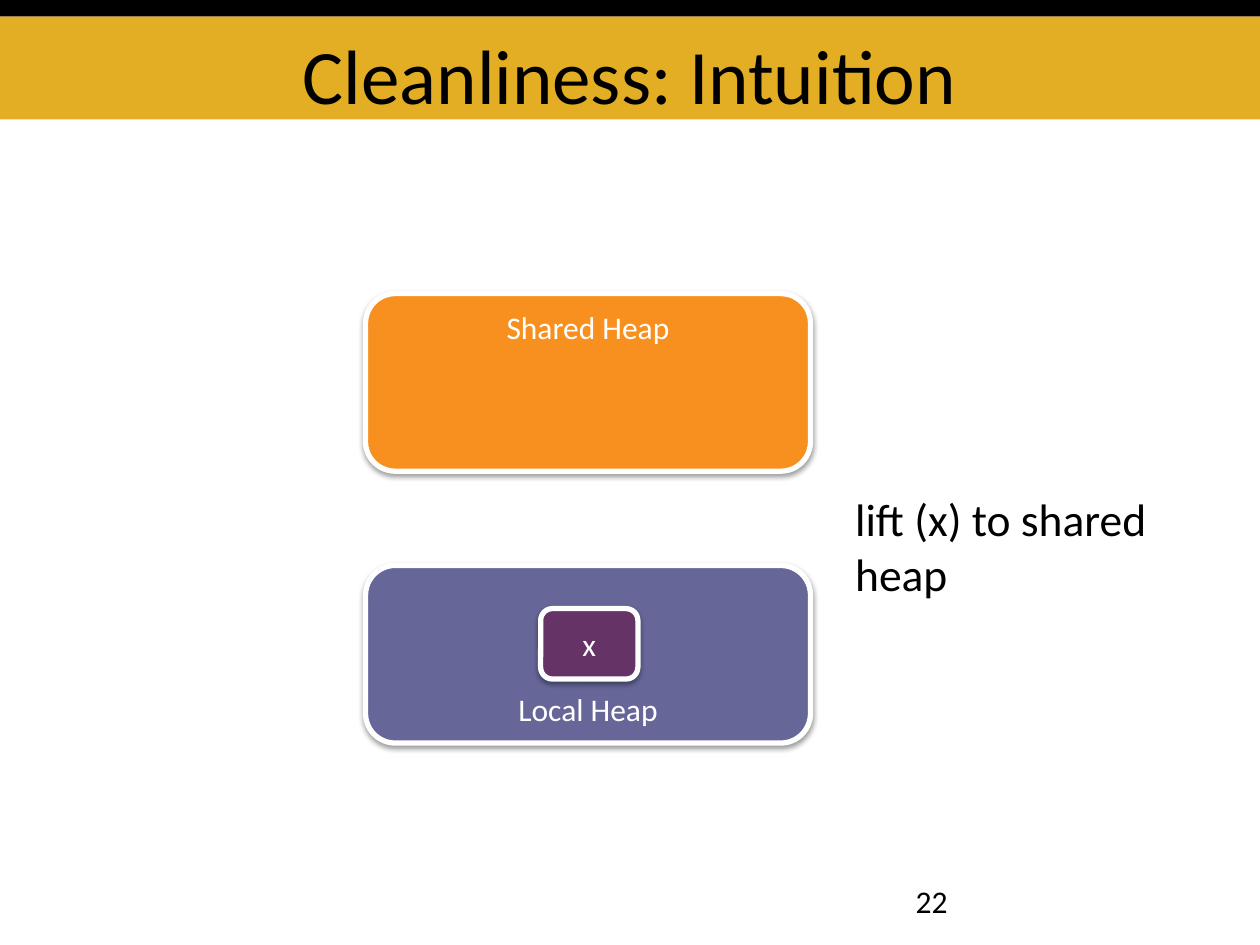
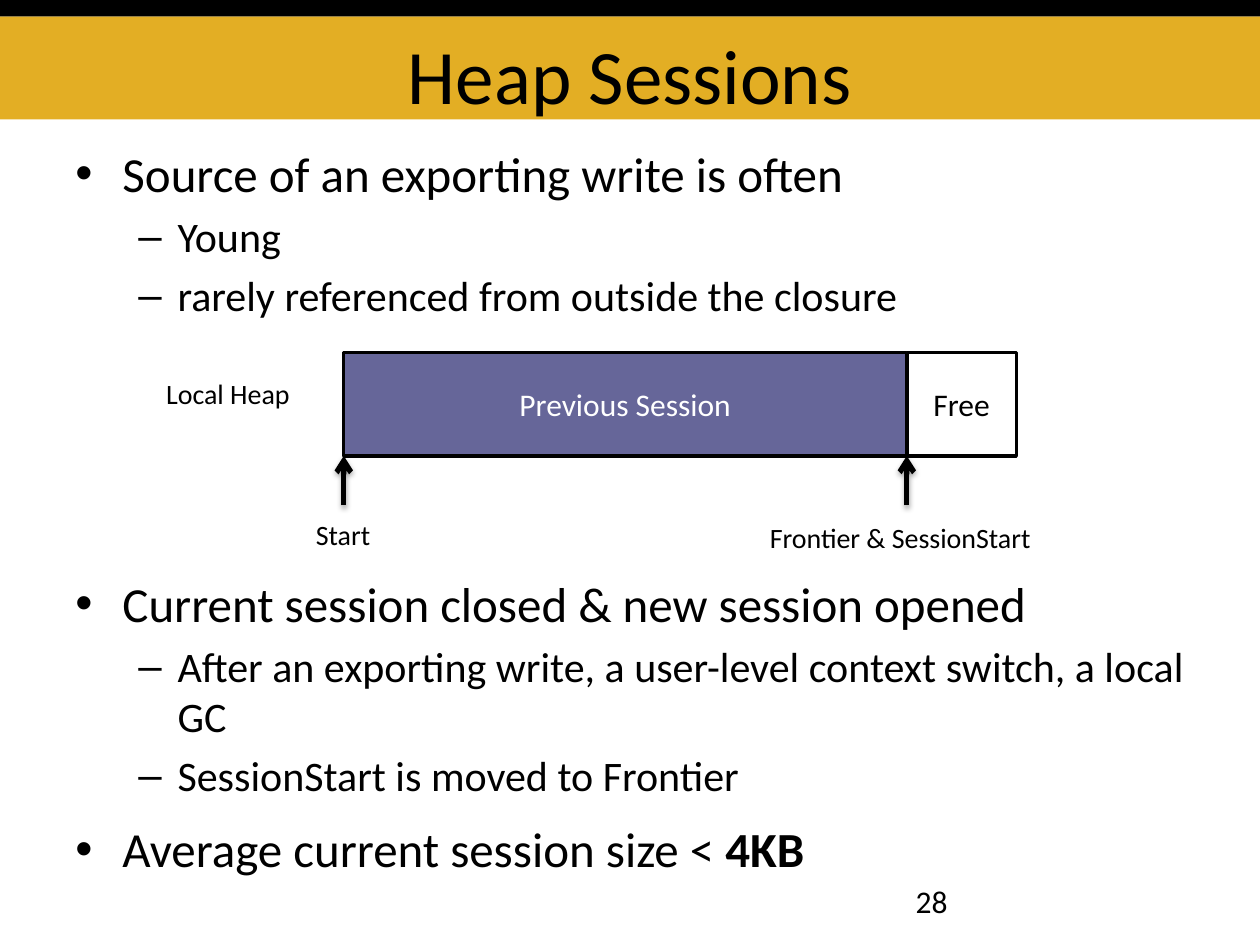
from dataclasses import dataclass
from typing import Any, NamedTuple

from lxml.etree import SubElement
from pptx import Presentation
from pptx.dml.color import RGBColor as Rgb
from pptx.enum.shapes import MSO_CONNECTOR as Link, MSO_SHAPE as Kind
from pptx.enum.text import MSO_ANCHOR as Anchor, PP_ALIGN as Align
from pptx.oxml.ns import qn
from pptx.util import Cm, Pt

HUES = {
    "black": "000000",
    "white": "FFFFFF",
    "gold": "E3AE24",
    "orange": "F7901E",
    "slate": "666699",
    "plum": "663366",
}
FONT = "Calibri"
WIDE, HIGH = 25.4, 19.05
STRIP, BAND = 0.33, 2.08
LEFT, SPAN = 1.27, 22.86


class Area(NamedTuple):
    x: float
    y: float
    w: float
    h: float

    def lengths(self) -> list[Cm]:
        return [Cm(v) for v in self]


class Level(NamedTuple):
    mark: str
    size: int
    left: float
    hang: float


class Item(NamedTuple):
    level: int
    text: str
    bold: str = ""


@dataclass
class Block:
    area: Area
    text: str
    fill: str
    line: str = "white"
    weight: float = 3
    ink: str = "white"
    kind: Any = Kind.ROUNDED_RECTANGLE
    anchor: Any = Anchor.MIDDLE
    shade: bool = True


@dataclass
class Label:
    area: Area
    text: str
    size: int
    wrap: bool = False
    align: Any = Align.LEFT
    anchor: Any = Anchor.TOP
    foot: float = 0.13


LEVELS = [Level("•", 28, 0.95, 0.95), Level("–", 24, 2.06, 0.79)]


def hue(name: str) -> Rgb:
    return Rgb.from_string(HUES[name])


def style(par: Any, size: float, ink: str = "black") -> None:
    par.font.name = FONT
    par.font.size = Pt(size)
    par.font.color.rgb = hue(ink)


def cast(item: Any, alpha: int, dist: float) -> None:
    props = item._element.spPr
    for old in props.findall(qn("a:effectLst")):
        props.remove(old)
    shade = SubElement(
        SubElement(props, qn("a:effectLst")), qn("a:outerShdw"),
        blurRad=str(Pt(3.1)), dist=str(Pt(dist)), dir="5400000", rotWithShape="0")
    tint = SubElement(shade, qn("a:srgbClr"), val=HUES["black"])
    SubElement(tint, qn("a:alpha"), val=str(alpha * 1000))


def draw_block(slide: Any, block: Block) -> None:
    shape = slide.shapes.add_shape(block.kind, *block.area.lengths())
    shape.shadow.inherit = False
    shape.fill.solid()
    shape.fill.fore_color.rgb = hue(block.fill)
    if block.weight:
        shape.line.color.rgb = hue(block.line)
        shape.line.width = Pt(block.weight)
    else:
        shape.line.fill.background()
    if block.shade:
        cast(shape, 38, 1.6)
    if block.text:
        frame = shape.text_frame
        frame.vertical_anchor = block.anchor
        par = frame.paragraphs[0]
        par.text = block.text
        par.alignment = Align.CENTER
        style(par, 18, block.ink)


def draw_label(slide: Any, label: Label) -> None:
    frame = slide.shapes.add_textbox(*label.area.lengths()).text_frame
    frame.word_wrap = label.wrap
    frame.vertical_anchor = label.anchor
    frame.margin_bottom = Cm(label.foot)
    frame.text = label.text
    for par in frame.paragraphs:
        par.alignment = label.align
        style(par, label.size)


def draw_list(slide: Any, top: float, high: float, items: list[Item]) -> None:
    area = Area(LEFT, top, SPAN, high)
    frame = slide.shapes.add_textbox(*area.lengths()).text_frame
    frame.word_wrap = True
    for i, item in enumerate(items):
        par = frame.add_paragraph() if i else frame.paragraphs[0]
        level = LEVELS[item.level]
        par.level = item.level
        props = par._p.get_or_add_pPr()
        props.set("marL", str(Cm(level.left)))
        props.set("indent", str(-Cm(level.hang)))
        SubElement(props, qn("a:buFont"), typeface="Arial")
        SubElement(props, qn("a:buChar"), char=level.mark)
        if i:
            par.space_before = Pt(level.size * 0.2)
        style(par, level.size)
        par.add_run().text = item.text
        if item.bold:
            run = par.add_run()
            run.text = item.bold
            run.font.bold = True


def draw_arrow(slide: Any, x: float, start: float, end: float) -> None:
    line = slide.shapes.add_connector(Link.STRAIGHT, Cm(x), Cm(start), Cm(x), Cm(end))
    line.line.color.rgb = hue("black")
    line.line.width = Pt(3)
    SubElement(line.line._get_or_add_ln(), qn("a:tailEnd"), type="arrow")
    cast(line, 35, 1.8)


def new_slide(deck: Any, title: str, page: int) -> Any:
    slide = deck.slides.add_slide(deck.slide_layouts[6])
    for y, h, fill in ((STRIP, BAND, "gold"), (0, STRIP, "black")):
        draw_block(slide, Block(Area(0, y, WIDE, h), "", fill, weight=0,
                                kind=Kind.RECTANGLE, shade=False))
    draw_label(slide, Label(Area(LEFT, STRIP, SPAN, BAND), title, 44, True,
                            Align.CENTER, Anchor.BOTTOM, 0))
    draw_label(slide, Label(Area(18.21, 17.65, 5.92, 1.02), str(page), 18, True))
    return slide


def clean_slide(deck: Any) -> None:
    slide = new_slide(deck, "Cleanliness: Intuition", 22)
    x, w, h = 7.37, 8.97, 3.58
    for block in (
        Block(Area(x, 5.92, w, h), "Shared Heap", "orange", anchor=Anchor.TOP),
        Block(Area(x, 11.4, w, h), "Local Heap", "slate", anchor=Anchor.BOTTOM),
        Block(Area(10.9, 12.27, 1.96, 1.42), "x", "plum"),
    ):
        draw_block(slide, block)
    draw_label(slide, Label(Area(16.99, 9.78, 6.45, 2.49), "lift (x) to shared\nheap", 26))


def heap_slide(deck: Any) -> None:
    slide = new_slide(deck, "Heap Sessions", 28)
    draw_list(slide, 2.77, 4.09, [
        Item(0, "Source of an exporting write is often"),
        Item(1, "Young"),
        Item(1, "rarely referenced from outside the closure"),
    ])
    draw_list(slide, 11.43, 4.95, [
        Item(0, "Current session closed & new session opened"),
        Item(1, "After an exporting write, a user-level context switch, a local GC"),
        Item(1, "SessionStart is moved to Frontier"),
    ])
    draw_list(slide, 16.38, 1.57, [Item(0, "Average current session size < ", "4KB")])

    start, front, top, high = 6.93, 18.28, 7.11, 2.08
    for x, w, text, fill, ink in (
        (start, front - start, "Previous Session", "slate", "white"),
        (front, 2.21, "Free", "white", "black"),
    ):
        draw_block(slide, Block(Area(x, top, w, high), text, fill, "black", 2, ink,
                                Kind.RECTANGLE, shade=False))
    for x in (start, front):
        draw_arrow(slide, x, top + high + 1, top + high)
    for area, text in (
        (Area(3.1, 7.47, 3.35, 1.17), "Local Heap"),
        (Area(15.27, 10.36, 5.87, 0.94), "Frontier & SessionStart"),
        (Area(6.12, 10.31, 1.63, 0.94), "Start"),
    ):
        draw_label(slide, Label(area, text, 16))


def main() -> None:
    deck = Presentation()
    deck.slide_width, deck.slide_height = Cm(WIDE), Cm(HIGH)
    clean_slide(deck)
    heap_slide(deck)
    deck.save("out.pptx")


if __name__ == "__main__":
    main()
